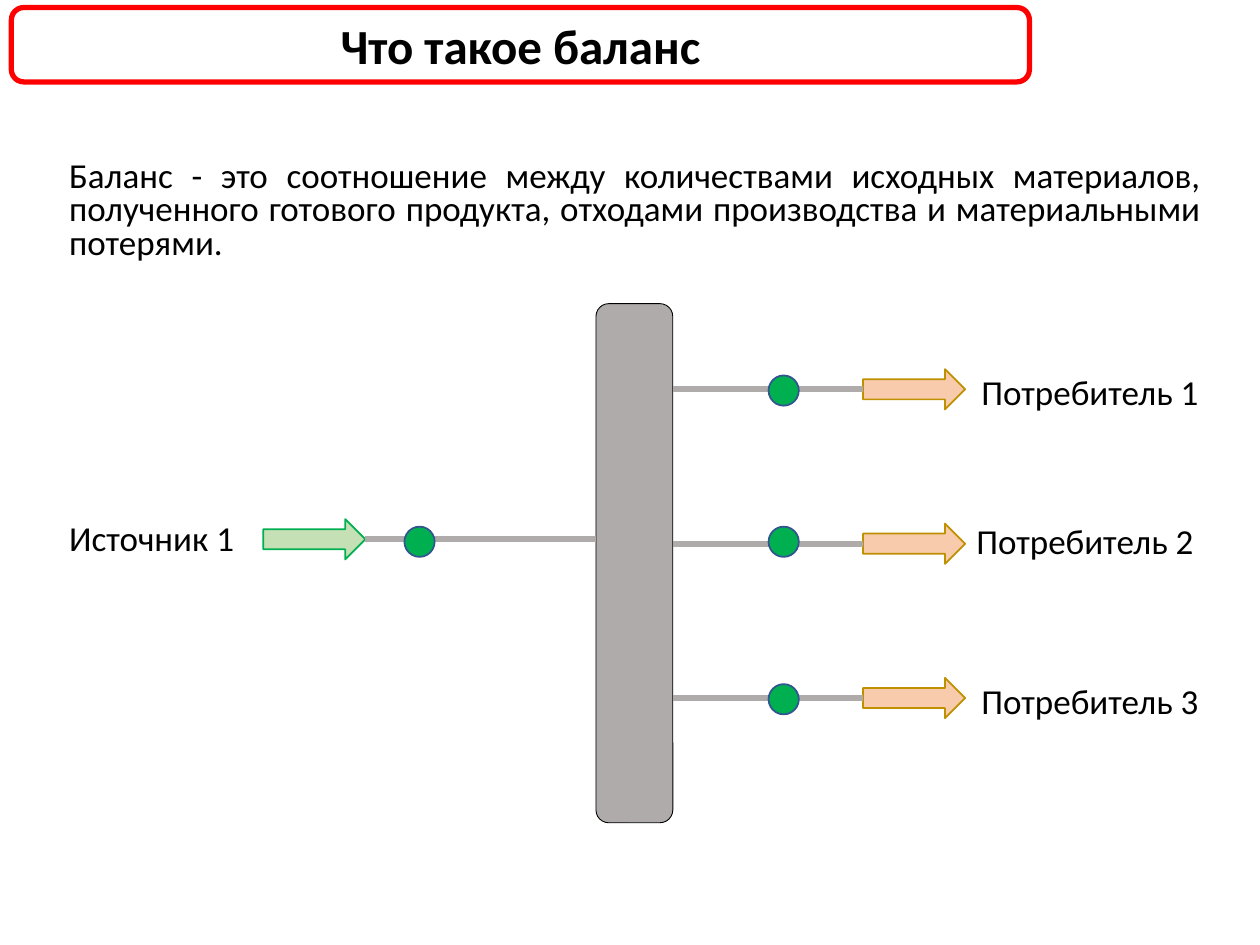
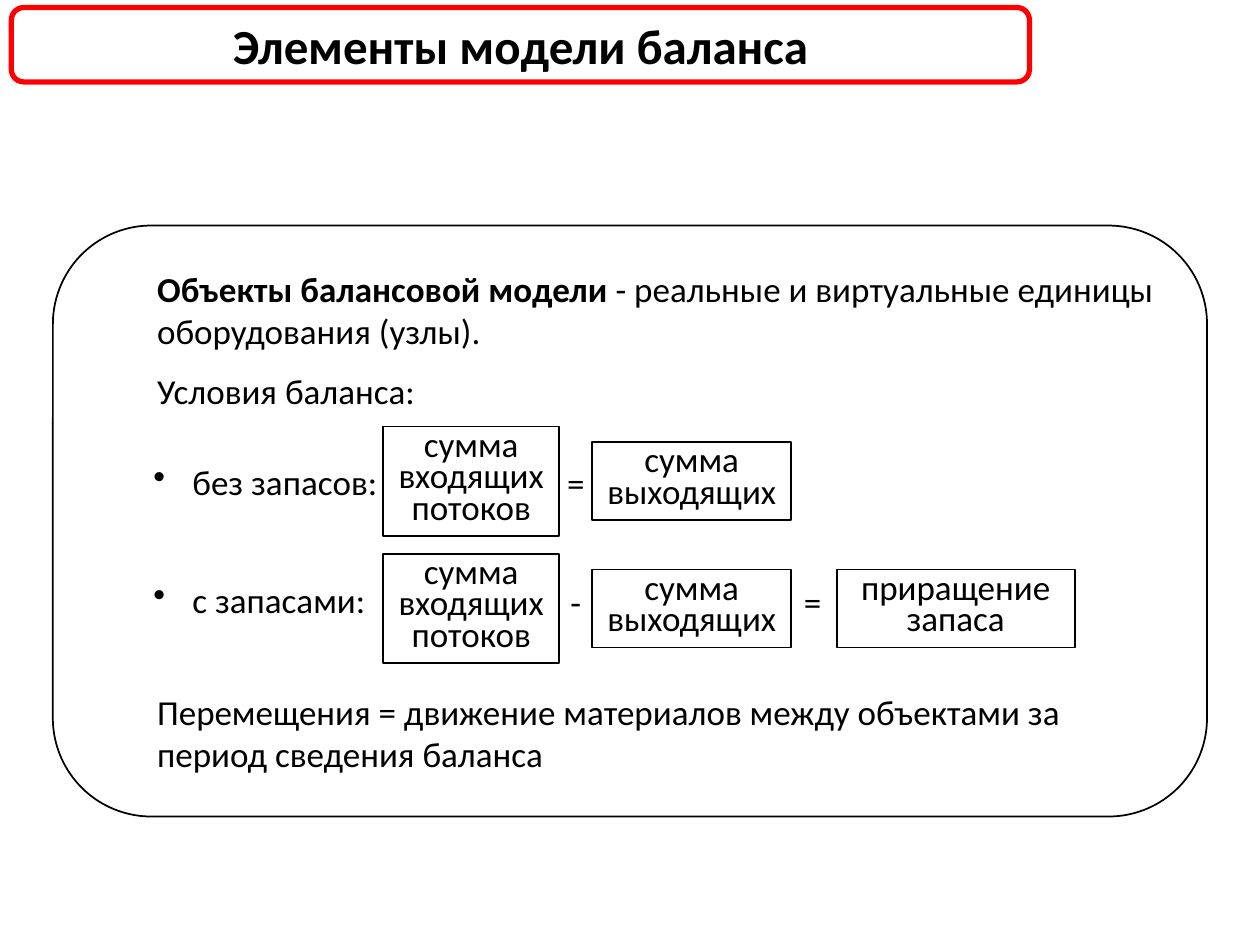
import pptx
import pptx.util
import pptx.dml.color
import pptx.enum.shapes
import pptx.enum.text
from lxml import etree

Inches, Pt = pptx.util.Inches, pptx.util.Pt
SHAPE = pptx.enum.shapes.MSO_SHAPE
ALIGN = pptx.enum.text.PP_ALIGN
ANCHOR = pptx.enum.text.MSO_ANCHOR

# Shared style
FONT = "Calibri"
BLACK, WHITE, RED = "000000", "FFFFFF", "FF0000"
PIPE, METER, METER_EDGE = "AFABAB", "00B050", "325491"
SOURCE_FILL, CONSUMER_FILL, CONSUMER_EDGE = "C5E0B4", "F8CBAD", "BF9000"


def rgb(value):
    return pptx.dml.color.RGBColor.from_string(value)


def add_shape(s, kind, box, fill, line, width=1):
    sp = s.shapes.add_shape(kind, *map(Inches, box))
    sp.shadow.inherit = False
    sp.fill.solid()
    sp.fill.fore_color.rgb = rgb(fill)
    sp.line.color.rgb = rgb(line)
    sp.line.width = Pt(width)
    return sp


def style(p, size=20, align=ALIGN.LEFT, bold=None):
    p.font.name = FONT
    p.font.size = Pt(size)
    p.font.bold = bold
    p.font.color.rgb = rgb(BLACK)
    p.alignment = align


def add_title(s, text):
    sp = add_shape(s, SHAPE.ROUNDED_RECTANGLE, (0.09, 0.06, 8.08, 0.59), WHITE, RED, 3)
    sp.text_frame.vertical_anchor = ANCHOR.MIDDLE
    sp.text_frame.text = text
    style(sp.text_frame.paragraphs[0], 28, ALIGN.CENTER, True)


def add_label(s, text, box, align=ALIGN.LEFT, wrap=False):
    tf = s.shapes.add_textbox(*map(Inches, box)).text_frame
    tf.word_wrap = wrap
    tf.text = text
    style(tf.paragraphs[0], align=align)
    return tf.paragraphs[0]


def add_pipe(s, x1, x2, y):
    line = s.shapes.add_connector(pptx.enum.shapes.MSO_CONNECTOR.STRAIGHT,
                                  Inches(x1), Inches(y), Inches(x2), Inches(y))
    line.line.color.rgb = rgb(PIPE)
    line.line.width = Pt(3.25)
    etree.SubElement(line._element.spPr, pptx.oxml.ns.qn("a:effectLst"))
    return line


def add_flow_arrow(s, left, y, fill, edge):
    return add_shape(s, SHAPE.RIGHT_ARROW, (left, y - 0.16, 0.81, 0.32), fill, edge)


def add_meter(s, left, top):
    add_shape(s, SHAPE.OVAL, (left, top, 0.24, 0.24), METER, METER_EDGE)


def add_term(s, text, left, y, width, height):
    sp = add_shape(s, SHAPE.RECTANGLE, (left, y - height / 2, width, height), WHITE, BLACK)
    tf = sp.text_frame
    tf.vertical_anchor = ANCHOR.TOP
    tf.text = text
    p = tf.paragraphs[0]
    style(p, align=ALIGN.CENTER)
    p.line_spacing = Pt(18)


def add_item(tf, runs, before, bullet=False):
    p = tf.paragraphs[0] if not tf.paragraphs[0].runs else tf.add_paragraph()
    for text, bold in runs:
        r = p.add_run()
        r.text = text
        r.font.bold = bold
    style(p)
    p.space_before = Pt(before)
    pPr = p._p.get_or_add_pPr()
    pPr.set("marL", str(Inches(0.78 if bullet else 0.5)))
    pPr.set("indent", str(Inches(-0.31 if bullet else 0)))
    if bullet:
        mark = pptx.oxml.parse_xml(
            '<a:buChar xmlns:a="http://schemas.openxmlformats.org/drawingml/2006/main" char="•"/>')
        pPr.find(pptx.oxml.ns.qn("a:spcBef")).addnext(mark)


def build_definition(s):
    # Source, collector and the pipe between them
    source_y = 4.28
    source = add_flow_arrow(s, 2.09, source_y, SOURCE_FILL, METER)
    add_shape(s, SHAPE.ROUNDED_RECTANGLE, (4.73, 2.41, 0.61, 4.12), PIPE, BLACK, 0.5)
    add_pipe(s, 2.9, 4.73, source_y).begin_connect(source, 3)
    add_meter(s, 3.21, 4.18)
    add_label(s, "Источник 1", (0.45, 4.05, 1.52, 0.44))

    # Consumers: meter top, label left, label top
    consumers = [(2.98, 7.69, 2.89), (4.18, 7.65, 4.07), (5.43, 7.69, 5.34)]
    for i, (meter_top, label_left, label_top) in enumerate(consumers):
        y = 3.09 + i * 1.225
        arrow = add_flow_arrow(s, 6.85, y, CONSUMER_FILL, CONSUMER_EDGE)
        add_pipe(s, 5.34, 6.85, y).end_connect(arrow, 1)
        add_meter(s, 6.1, meter_top)
        add_label(s, f"Потребитель {i + 1}", (label_left, label_top, 1.94, 0.44))

    add_title(s, "Что такое баланс")
    p = add_label(s, "Баланс - это соотношение между количествами исходных материалов, "
                  "полученного готового продукта, отходами производства и "
                  "материальными потерями.",
                  (0.45, 1.23, 9.18, 0.92), ALIGN.JUSTIFY, True)
    p.line_spacing = 0.8


def build_elements(s):
    add_title(s, "Элементы модели баланса")

    # Panel with the conditions
    panel = add_shape(s, SHAPE.ROUNDED_RECTANGLE, (0.42, 1.79, 9.16, 4.69), WHITE, BLACK)
    tf = panel.text_frame
    tf.vertical_anchor = ANCHOR.MIDDLE
    add_item(tf, [("Объекты балансовой модели ", True),
                  ("- реальные и виртуальные единицы оборудования (узлы).", False)], 0)
    add_item(tf, [("Условия баланса:", False)], 10)
    add_item(tf, [("без запасов:", False)], 28, True)
    add_item(tf, [("с запасами:", False)], 43.5, True)
    add_item(tf, [("Перемещения = движение материалов между объектами за "
                   "период сведения баланса", False)], 40)

    # Terms of the two equations
    for y in (3.82, 4.83):
        add_term(s, "сумма входящих потоков", 3.04, y, 1.4, 0.87)
        add_term(s, "сумма выходящих", 4.7, y, 1.58, 0.62)
    add_term(s, "приращение запаса", 6.64, 4.83, 1.89, 0.62)

    # Signs between the terms
    for sign, centre, y in (("=", 4.57, 3.83), ("-", 4.57, 4.78), ("=", 6.45, 4.78)):
        add_label(s, sign, (centre - 0.2, y - 0.22, 0.4, 0.44), ALIGN.CENTER, True)


def main():
    prs = pptx.Presentation()
    prs.slide_width, prs.slide_height = Inches(10), Inches(7.5)
    for build in (build_definition, build_elements):
        build(prs.slides.add_slide(prs.slide_layouts[6]))
    prs.save("out.pptx")


if __name__ == "__main__":
    main()
